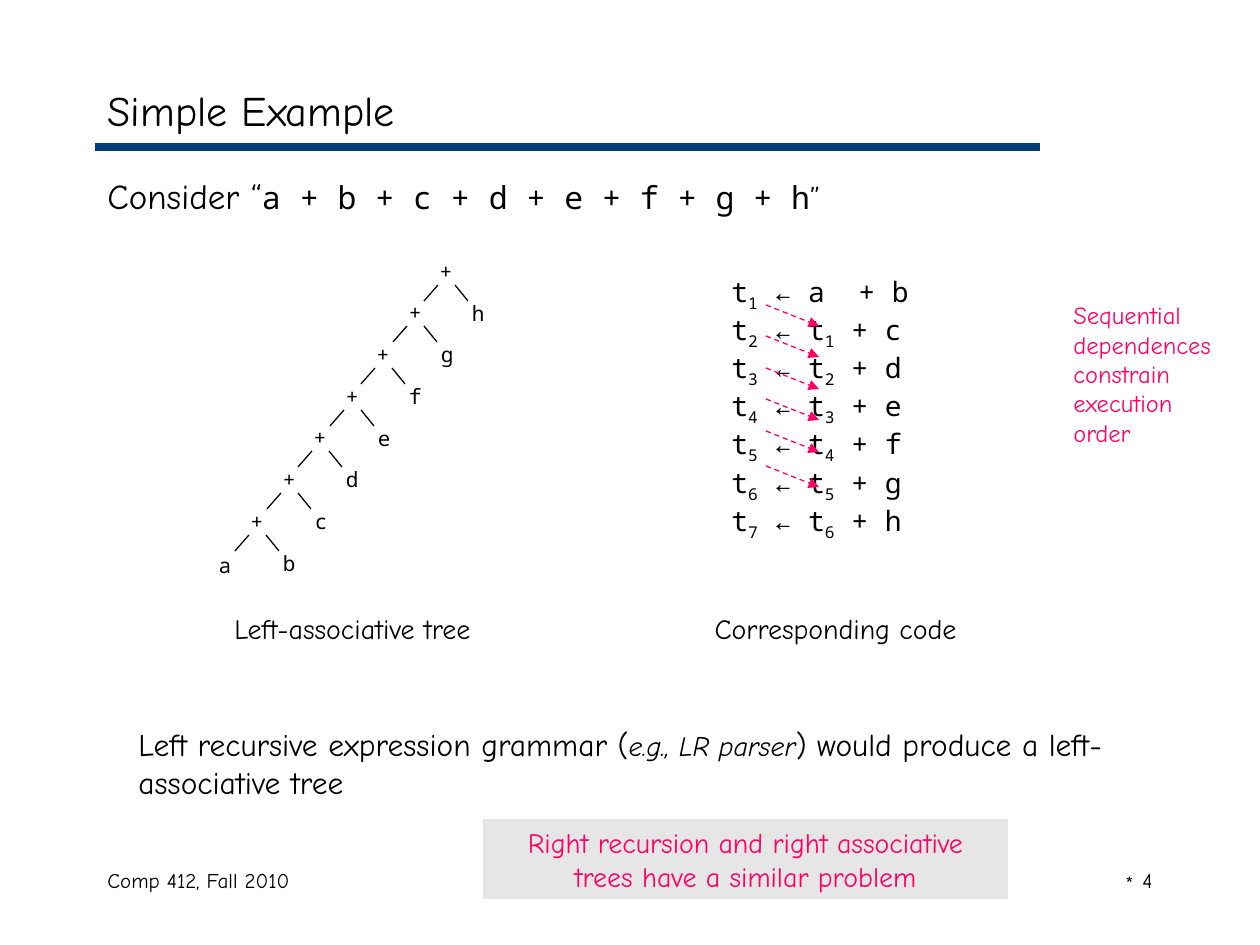
from dataclasses import dataclass, field
from lxml.etree import SubElement as Sub
from pptx import Presentation
from pptx.dml.color import RGBColor as Rgb
from pptx.enum.dml import MSO_LINE_DASH_STYLE as Dash
from pptx.enum.shapes import MSO_CONNECTOR_TYPE as Link, MSO_SHAPE as Form
from pptx.enum.text import MSO_VERTICAL_ANCHOR as Anchor, PP_PARAGRAPH_ALIGNMENT as Align
from pptx.oxml.ns import qn
from pptx.util import Emu, Pt

SCALE = 914400 / 126
HUES = {"ink": "000000", "rule": "003C75", "pink": "FF0065", "gray": "E6E6E6"}
HAND, MONO = "Comic Neue", "Noto Sans Mono"


@dataclass
class Run:
    text: str
    size: int = 12
    name: str = HAND
    hue: str = "ink"
    sub: bool = False
    italic: bool = False


@dataclass
class Box:
    left: int
    top: int
    width: int
    height: int
    lines: list[list[Run]]
    align: Align = Align.LEFT
    form: dict = field(default_factory=lambda: {"word_wrap": True})


@dataclass
class Line:
    start: tuple[int, int]
    end: tuple[int, int]
    hue: str = "ink"
    width: float = 0.75
    arrow: bool = False


def px(num: int) -> Emu:
    return Emu(round(num * SCALE))


def color(hue: str) -> Rgb:
    return Rgb.from_string(HUES[hue])


def apply(thing, form: dict) -> None:
    for key, value in form.items():
        setattr(thing, key, value)


def write(shape, box: Box) -> None:
    apply(shape, {"left": px(box.left), "top": px(box.top),
                  "width": px(box.width), "height": px(box.height)})
    frame = shape.text_frame
    apply(frame, box.form)
    for row, runs in enumerate(box.lines):
        para = frame.add_paragraph() if row else frame.paragraphs[0]
        para.alignment = box.align
        for item in runs:
            run = para.add_run()
            run.text = item.text
            apply(run.font, {"size": Pt(item.size), "name": item.name,
                             "italic": item.italic, "bold": False})
            run.font.color.rgb = color(item.hue)
            if item.sub:
                run.font._element.set("baseline", "-25000")


def label(slide, box: Box) -> None:
    write(slide.shapes.add_textbox(0, 0, 0, 0), box)


def panel(slide, box: Box) -> None:
    shape = slide.shapes.add_shape(Form.RECTANGLE, 0, 0, 0, 0)
    shape.shadow.inherit = False
    shape.fill.solid()
    shape.fill.fore_color.rgb = color("gray")
    shape.line.fill.background()
    write(shape, box)


def draw(slide, line: Line) -> None:
    ends = [px(num) for num in line.start + line.end]
    link = slide.shapes.add_connector(Link.STRAIGHT, *ends)
    link.line.color.rgb = color(line.hue)
    link.line.width = Pt(line.width)
    if line.arrow:
        link.line.dash_style = Dash.DASH
        Sub(link.line._get_or_add_ln(), qn("a:tailEnd"), type="triangle")
    Sub(link._element.spPr, qn("a:effectLst"))


def node(slide, left: int, top: int, text: str) -> None:
    label(slide, Box(left, top, 42, 38, [[Run(text, 12, MONO)]], Align.CENTER))


def tree(slide, leaves: str) -> None:
    for step, leaf in enumerate(leaves):
        left, top = 425 - 63 * step // 2, 252 + 250 * step // 6
        node(slide, left, top, "+")
        node(slide, left + 32, top + 42, leaf)
        draw(slide, Line((left + 30, top + 33), (left + 43, top + 49)))
        draw(slide, Line((left + 13, top + 33), (left - 1, top + 49)))
    node(slide, left - 32, top + 44, "a")


def code(num: int, leaf: str) -> list[Run]:
    parts = [("t", False), (str(num), True)]
    if num == 1:
        parts += [(f" ← a  + {leaf}", False)]
    else:
        parts += [(" ← t", False), (str(num - 1), True), (f" + {leaf}", False)]
    return [Run(text, 16, MONO, sub=sub) for text, sub in parts]


def main() -> None:
    deck = Presentation()
    deck.slide_width, deck.slide_height = px(1260), px(945)
    slide = deck.slides.add_slide(deck.slide_layouts[5])
    leaves = "bcdefgh"

    draw(slide, Line((95, 147), (1040, 147), "rule", 4.5))
    write(slide.shapes.title, Box(95, 73, 1071, 73, [[Run("Simple Example", 24)]],
          form={"word_wrap": True, "vertical_anchor": Anchor.MIDDLE}))
    label(slide, Box(95, 861, 399, 63, [[Run("Comp 412, Fall 2010")]]))
    label(slide, Box(903, 861, 262, 63, [[Run("4")]], Align.RIGHT))
    label(slide, Box(95, 168, 819, 55, [[
        Run("Consider “", 20), Run("a + b + c + d + e + f + g + h", 18, MONO),
        Run("”", 18)]]))
    label(slide, Box(126, 719, 1029, 88, [[
        Run("Left recursive expression grammar (", 18),
        Run("e.g., LR parser", 16, italic=True),
        Run(") would produce a left-associative tree", 18)]]))

    tree(slide, leaves[::-1])
    label(slide, Box(179, 605, 347, 47, [[Run("Left-associative tree", 16)]], Align.CENTER))
    label(slide, Box(719, 268, 231, 280,
                     [code(num, leaf) for num, leaf in enumerate(leaves, 1)]))
    label(slide, Box(662, 605, 347, 47, [[Run("Corresponding code", 16)]], Align.CENTER))

    label(slide, Box(1061, 294, 179, 160, [[
        Run("Sequential dependences constrain execution order", 14, hue="pink")]]))
    for top in (305, 336, 368, 399, 431, 466):
        draw(slide, Line((766, top), (819, top + 21), "pink", arrow=True))

    panel(slide, Box(483, 819, 525, 80, [[
        Run("Right recursion and right associative trees have a similar problem",
            16, hue="pink")]], Align.CENTER))
    label(slide, Box(1113, 864, 105, 38, [[Run("*")]]))
    deck.save("out.pptx")


if __name__ == "__main__":
    main()
